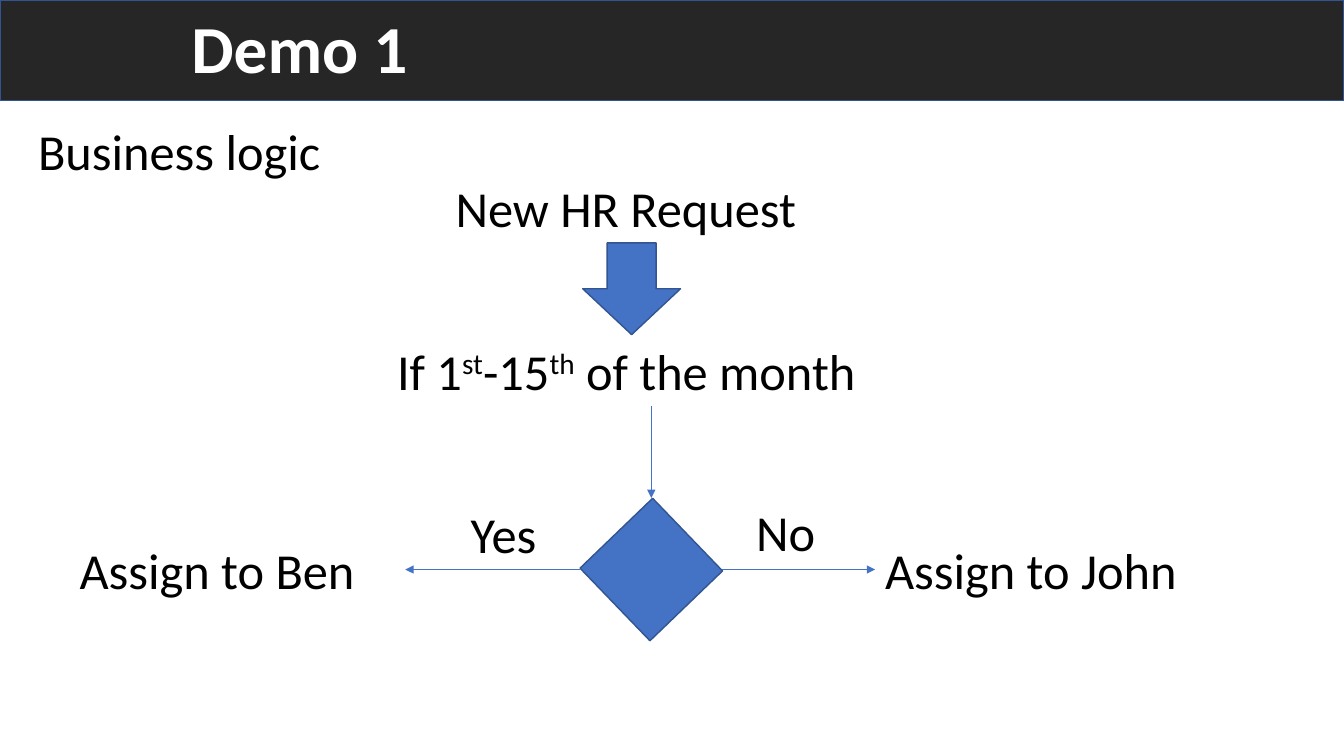
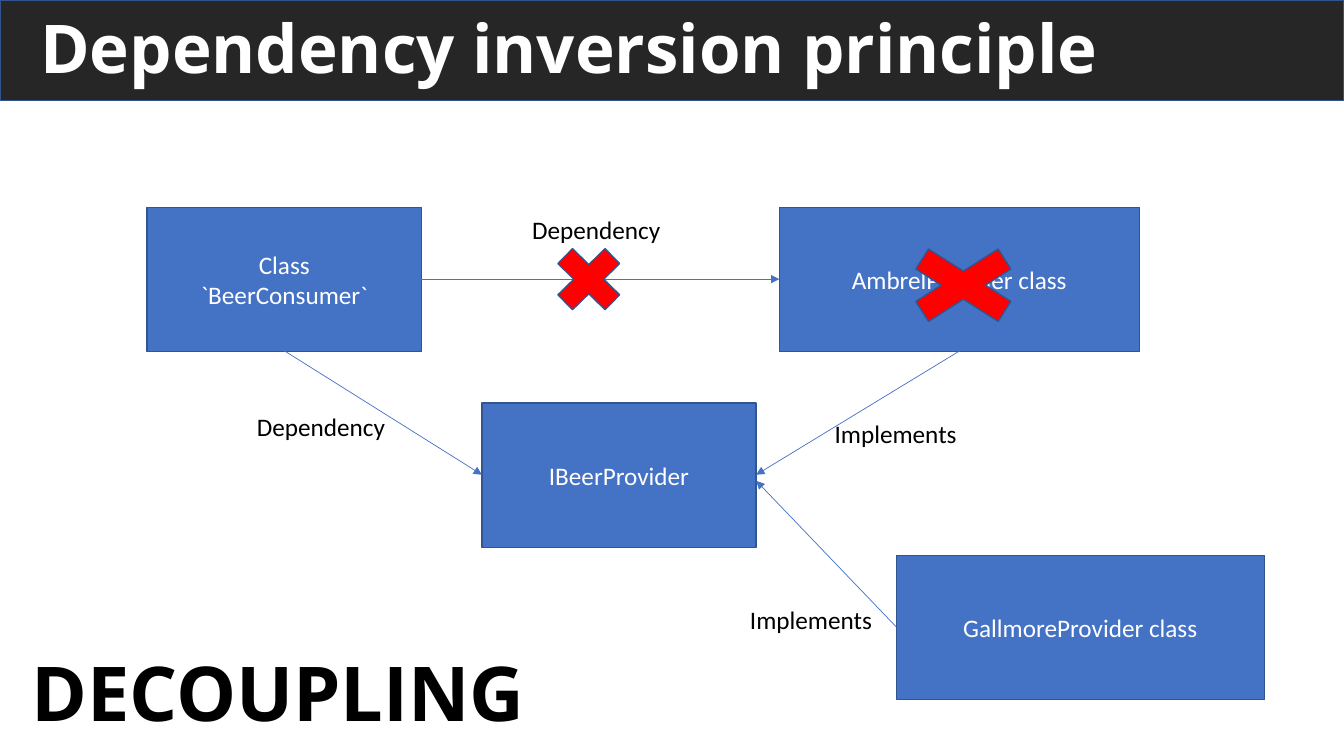
from lxml.etree import SubElement
from pptx import Presentation
from pptx.dml.color import RGBColor
from pptx.enum.shapes import MSO_CONNECTOR, MSO_SHAPE
from pptx.enum.text import MSO_ANCHOR, MSO_AUTO_SIZE, PP_ALIGN
from pptx.oxml.ns import qn
from pptx.util import Inches, Pt

BLUE, OUTLINE, BAND, RED = "4472C4", "325491", "262626", "FF0000"
BLACK, WHITE = "000000", "FFFFFF"
BODY_FONT, DISPLAY_FONT = "Calibri", "Open Sans"


def color(value):
    """Turn a hex string into a colour."""
    return RGBColor.from_string(value)


def write(frame, text, size=18, font=BODY_FONT, ink=BLACK, bold=False,
          align=PP_ALIGN.LEFT, line_spacing=None, space_before=None):
    """Fill a frame: a newline starts a paragraph, ^marks^ enclose superscript."""
    for number, line in enumerate(text.split("\n")):
        para = frame.add_paragraph() if number else frame.paragraphs[0]
        para.alignment = align
        para.line_spacing = line_spacing
        para.space_before = space_before
        for index, piece in enumerate(line.split("^")):
            span = para.add_run()
            span.text = piece
            span.font.size = Pt(size)
            span.font.name = font
            span.font.bold = bold
            span.font.color.rgb = color(ink)
            if index % 2:
                span._r.get_or_add_rPr().set("baseline", "30000")


class SlideBuilder:
    """Holds the deck, its shared style and the current page."""

    def __init__(self):
        """Start an empty widescreen deck."""
        self.deck = Presentation()
        self.deck.slide_width = Inches(13.33)
        self.deck.slide_height = Inches(7.5)
        self.page = None

    def start(self, title, left, width, font=BODY_FONT):
        """Add a page with the dark band and its title."""
        self.page = self.deck.slides.add_slide(self.deck.slide_layouts[6])
        self.shape(0, 0, 13.33, 1, fill=BAND)
        self.label(title, left, 0.1, width, 0.76, grow=False, size=48,
                   font=font, ink=WHITE, bold=True, line_spacing=0.9,
                   space_before=Pt(10))

    def shape(self, left, top, width, height, kind=MSO_SHAPE.RECTANGLE,
              fill=BLUE, rotation=0):
        """Add a filled, outlined preset shape."""
        shape = self.page.shapes.add_shape(
            kind, Inches(left), Inches(top), Inches(width), Inches(height))
        shape.shadow.inherit = False
        shape.fill.solid()
        shape.fill.fore_color.rgb = color(fill)
        shape.line.color.rgb = color(OUTLINE)
        shape.line.width = Pt(1)
        shape.rotation = rotation
        return shape

    def class_box(self, text, left, top, width):
        """Add a blue box with centred white text."""
        frame = self.shape(left, top, width, 1.43).text_frame
        frame.word_wrap = True
        frame.vertical_anchor = MSO_ANCHOR.MIDDLE
        write(frame, text, ink=WHITE, align=PP_ALIGN.CENTER)

    def label(self, text, left, top, width, height, wrap=True, grow=True,
              **text_format):
        """Add a text box."""
        box = self.page.shapes.add_textbox(
            Inches(left), Inches(top), Inches(width), Inches(height))
        frame = box.text_frame
        frame.word_wrap = wrap
        frame.auto_size = (MSO_AUTO_SIZE.SHAPE_TO_FIT_TEXT if grow
                           else MSO_AUTO_SIZE.NONE)
        write(frame, text, **text_format)

    def arrow(self, start, end):
        """Add a thin straight arrow between two points."""
        line = self.page.shapes.add_connector(
            MSO_CONNECTOR.STRAIGHT, *map(Inches, start + end))
        line.line.color.rgb = color(BLUE)
        line.line.width = Pt(0.5)
        SubElement(line.line._get_or_add_ln(), qn("a:tailEnd"), type="triangle")
        SubElement(line._element.spPr, qn("a:effectLst"))


def build_business_logic(builder):
    """Build the flow that assigns a request."""
    builder.start("Demo 1", 1.8, 5.38)
    for text, left, top, width in [
        ("Business logic", 0.28, 1.14, 3.23),
        ("New HR Request", 4.42, 1.71, 3.69),
        ("If 1^st^-15^th^ of the month", 3.84, 3.32, 5.74),
        ("Assign to John", 8.68, 5.3, 3.62),
        ("Assign to Ben", 0.69, 5.3, 3.32),
        ("Yes", 4.57, 4.94, 1.15),
        ("No", 7.4, 4.92, 1.15),
    ]:
        builder.label(text, left, top, width, 0.71, size=36)
    builder.shape(5.78, 2.41, 0.97, 0.91, kind=MSO_SHAPE.DOWN_ARROW)
    builder.shape(5.96, 5.15, 1, 1, rotation=316.1)
    for start, end in [((5.75, 5.65), (4.02, 5.65)),
                       ((7.16, 5.65), (8.68, 5.65)),
                       ((6.46, 4.03), (6.46, 4.94))]:
        builder.arrow(start, end)


def build_dependency_inversion(builder):
    """Build the class diagram with its crossed-out dependency."""
    builder.start("Dependency inversion principle", 0.3, 12.65, DISPLAY_FONT)
    builder.label("DECOUPLING", 0.21, 6.36, 5.99, 1.01, size=54,
                  font=DISPLAY_FONT, bold=True)
    for text, left, top, width in [
        ("Class\n`BeerConsumer`", 1.46, 2.06, 2.72),
        ("AmbrelProvider class", 7.73, 2.06, 3.57),
        ("IBeerProvider", 4.78, 4, 2.72),
        ("GallmoreProvider class", 8.89, 5.51, 3.65),
    ]:
        builder.class_box(text, left, top, width)
    for start, end in [((4.18, 2.77), (7.73, 2.77)),
                       ((2.82, 3.48), (4.78, 4.71)),
                       ((9.52, 3.48), (7.5, 4.71)),
                       ((8.89, 6.22), (7.5, 4.77))]:
        builder.arrow(start, end)
    for text, left, top, width in [
        ("Dependency", 5.18, 2.08, 1.49),
        ("Dependency", 2.45, 4.03, 1.49),
        ("Implements", 8.18, 4.1, 1.43),
        ("Implements", 7.34, 5.95, 1.43),
    ]:
        builder.label(text, left, top, width, 0.4, wrap=False)
    for left, width, height in [(5.39, 0.9, 0.88), (8.77, 1.57, 1)]:
        builder.shape(left, 2.33, width, height,
                      kind=MSO_SHAPE.MATH_MULTIPLY, fill=RED)


builder = SlideBuilder()
build_business_logic(builder)
build_dependency_inversion(builder)
builder.deck.save("out.pptx")
